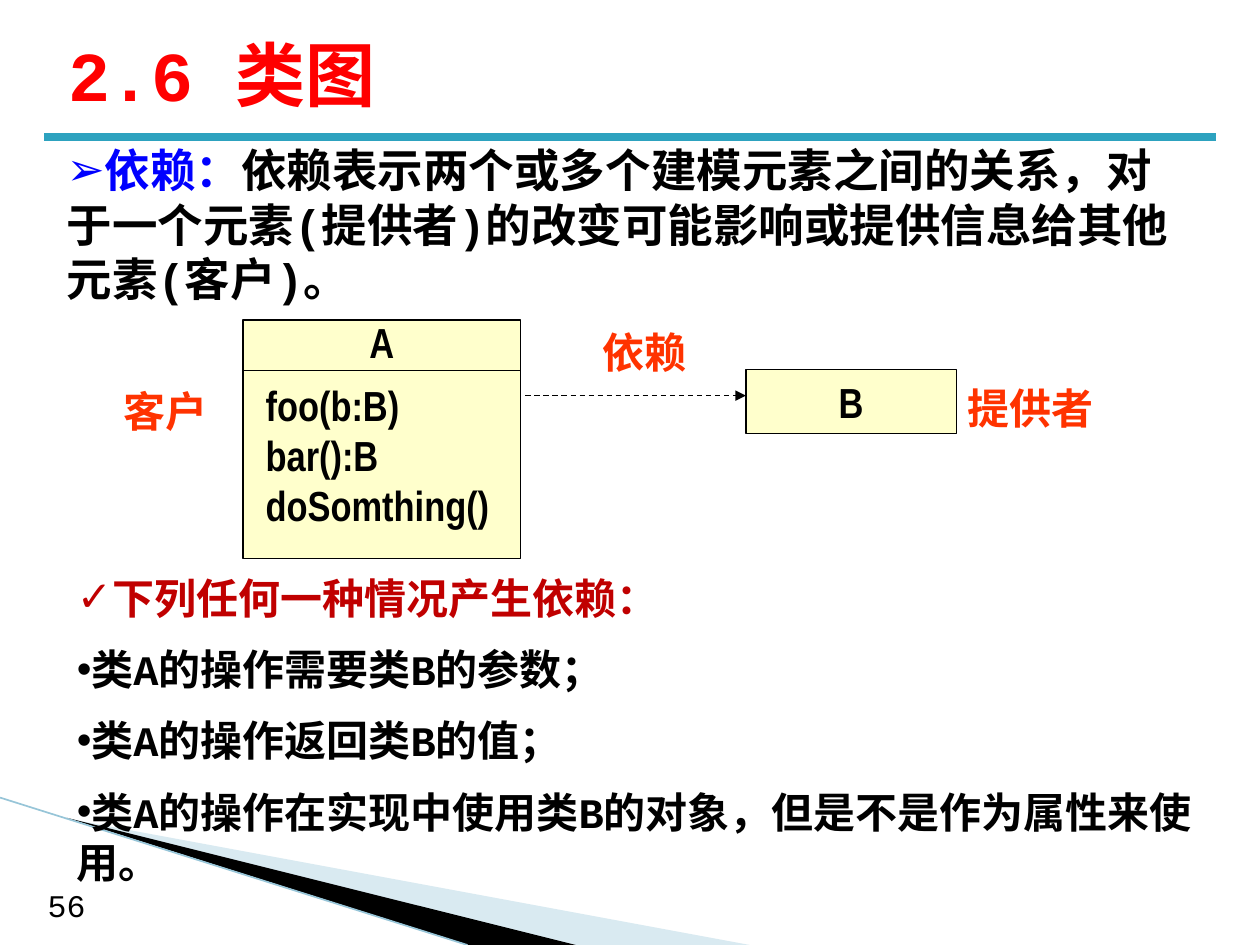
from lxml.etree import SubElement
from pptx import Presentation
from pptx.dml.color import RGBColor
from pptx.enum.dml import MSO_LINE
from pptx.enum.shapes import MSO_CONNECTOR, MSO_SHAPE
from pptx.enum.text import MSO_ANCHOR, MSO_AUTO_SIZE, PP_ALIGN
from pptx.oxml.ns import qn
from pptx.util import Inches, Pt

COLORS = {
    "black": "000000", "title": "FF0000", "term": "0000FF", "heading": "C00000",
    "label": "FF3300", "class": "FFFFCC", "rule": "2DA2BF", "edge": "97C5D8",
    "wedge": "A0CBDC",
}
MONO, NARROW, SANS = "Courier New", "Arial Narrow", "Arial"


def color(name):
    return RGBColor.from_string(COLORS[name])


def place(shape, box):
    shape.left, shape.top, shape.width, shape.height = map(Inches, box)


def set_font(font, name, size, color_name, bold=True):
    font.name, font.size, font.bold = name, Pt(size), bold
    font.color.rgb = color(color_name)


def set_bullet(paragraph, character):
    properties = paragraph._p.get_or_add_pPr()
    properties.set("marL", "0")
    properties.set("indent", "0")
    SubElement(properties, qn("a:buFont")).set("typeface", SANS)
    SubElement(properties, qn("a:buChar")).set("char", character)


def add_text(shapes, box, lines, name, size, color_name, align=PP_ALIGN.LEFT, bold=True):
    shape = shapes.add_textbox(*map(Inches, box))
    write_lines(shape.text_frame, lines, name, size, color_name, align, bold)
    return shape


def write_lines(frame, lines, name, size, color_name, align, bold=True):
    frame.word_wrap = True
    frame.text = "\n".join(lines)
    for paragraph in frame.paragraphs:
        paragraph.alignment = align
        set_font(paragraph.font, name, size, color_name, bold)


def add_line(shapes, start, end, color_name, width):
    line = shapes.add_connector(MSO_CONNECTOR.STRAIGHT, *map(Inches, start + end))
    line.line.color.rgb = color(color_name)
    line.line.width = Pt(width)
    SubElement(line._element.spPr, qn("a:effectLst"))
    return line


def add_rectangle(shapes, box):
    shape = shapes.add_shape(MSO_SHAPE.RECTANGLE, *map(Inches, box))
    shape.shadow.inherit = False
    shape.fill.solid()
    shape.fill.fore_color.rgb = color("class")
    shape.line.color.rgb = color("black")
    shape.line.width = Pt(0.75)
    return shape


def add_wedge(shapes, points, color_name, opacity=100):
    corners = [(Inches(x), Inches(y)) for x, y in points]
    builder = shapes.build_freeform(*corners[0], scale=1.0)
    builder.add_line_segments(corners[1:], close=True)
    shape = builder.convert_to_shape()
    shape.shadow.inherit = False
    shape.fill.solid()
    shape.fill.fore_color.rgb = color(color_name)
    shape.line.fill.background()
    if opacity < 100:
        fill_color = shape._element.spPr.find(qn("a:solidFill"))[0]
        SubElement(fill_color, qn("a:alpha")).set("val", str(opacity * 1000))


def add_decoration(shapes, box):
    left, top, width, height = box
    bottom = top + height
    add_wedge(shapes, [(left + 0.55, top + 0.17), (left + width, bottom),
                       (left + 4.56, bottom)], "wedge", 40)
    add_wedge(shapes, [(left + 0.53, top + 0.16), (left + 4.57, bottom),
                       (left + 3.72, bottom)], "black")
    add_line(shapes, (left, top), (left + 3.71, bottom), "edge", 0.95)


def add_header(slide, box):
    left, top, width, height = box
    add_line(slide.shapes, (0.35, top + height + 0.08), (9.65, top + height + 0.08), "rule", 4.5)
    title = slide.shapes.title
    place(title, box)
    frame = title.text_frame
    frame.auto_size = MSO_AUTO_SIZE.NONE
    frame.vertical_anchor = MSO_ANCHOR.MIDDLE
    write_lines(frame, ["2.6 类图"], MONO, 40, "title", PP_ALIGN.LEFT)


def add_definition(shapes, box):
    shape = shapes.add_textbox(*map(Inches, box))
    shape.text_frame.word_wrap = True
    paragraph = shape.text_frame.paragraphs[0]
    set_bullet(paragraph, "➢")
    parts = [
        ("依赖：", "term"),
        ("依赖表示两个或多个建模元素之间的关系，对于一个元素(提供者)的改变可能影响或提供信息给其他元素(客户)。", "black"),
    ]
    for text, color_name in parts:
        run = paragraph.add_run()
        run.text = text
        set_font(run.font, MONO, 26, color_name)


def add_client_class(shapes, box):
    left, top, width, height = box
    group = shapes.add_group_shape().shapes
    add_rectangle(group, box)
    add_text(group, (left + 0.39, top - 0.08, width - 0.78, 0.5), ["A"],
             NARROW, 24, "black", PP_ALIGN.CENTER)
    add_text(group, (left + 0.08, top + 0.42, width - 0.15, 1.31),
             ["foo(b:B)", "bar():B", "doSomthing()"], NARROW, 24, "black")
    add_line(group, (left, top + 0.4), (left + width, top + 0.4), "black", 0.75)


def add_diagram(shapes, box):
    left, top, width, height = box
    provider = add_rectangle(shapes, (left + 5.15, top + 0.39, 1.67, 0.51))
    provider.text_frame.vertical_anchor = MSO_ANCHOR.MIDDLE
    write_lines(provider.text_frame, ["B"], NARROW, 24, "black", PP_ALIGN.CENTER)

    arrow = add_line(shapes, (left + 3.4, top + 0.6), (left + 5.15, top + 0.6), "black", 0.75)
    arrow.line.dash_style = MSO_LINE.DASH
    SubElement(arrow.line._get_or_add_ln(), qn("a:tailEnd")).set("type", "triangle")

    labels = [
        ("提供者", 6.81, 0.45, 1.33, PP_ALIGN.LEFT),
        ("客户", 0, 0.47, 1.08, PP_ALIGN.CENTER),
        ("依赖", 3.68, 0, 1.33, PP_ALIGN.CENTER),
    ]
    for text, x, y, label_width, align in labels:
        add_text(shapes, (left + x, top + y, label_width, 0.51), [text],
                 SANS, 24, "label", align)
    add_client_class(shapes, (left + 1.16, top, 2.2, height))


def add_conditions(slide, box):
    body = slide.placeholders[1]
    place(body, box)
    frame = body.text_frame
    frame.auto_size = MSO_AUTO_SIZE.NONE
    items = [
        ("✓", "下列任何一种情况产生依赖："),
        ("•", "类A的操作需要类B的参数；"),
        ("•", "类A的操作返回类B的值；"),
        ("•", "类A的操作在实现中使用类B的对象，但是不是作为属性来使用。"),
    ]
    for index, (character, text) in enumerate(items):
        paragraph = frame.add_paragraph() if index else frame.paragraphs[0]
        paragraph.text = text
        paragraph.space_before = Pt(12 if index else 0)
        set_bullet(paragraph, character)
        set_font(paragraph.font, MONO, 24, "black" if index else "heading")


def main():
    presentation = Presentation()
    presentation.slide_width, presentation.slide_height = Inches(10), Inches(7.5)
    slide = presentation.slides.add_slide(presentation.slide_layouts[1])
    shapes = slide.shapes
    add_decoration(shapes, (0, 6.33, 5.95, 1.17))
    add_text(shapes, (0.28, 6.98, 0.79, 0.4), ["56"], MONO, 18, "black", bold=False)
    add_header(slide, (0.44, 0.16, 9, 0.85))
    add_definition(shapes, (0.43, 1.08, 9.06, 1.41))
    add_diagram(shapes, (0.77, 2.54, 8.14, 1.89))
    add_conditions(slide, (0.51, 4.49, 9.06, 2.73))
    for shape in (slide.shapes.title, slide.placeholders[1]):
        shapes._spTree.append(shape._element)
    presentation.save("out.pptx")


if __name__ == "__main__":
    main()
